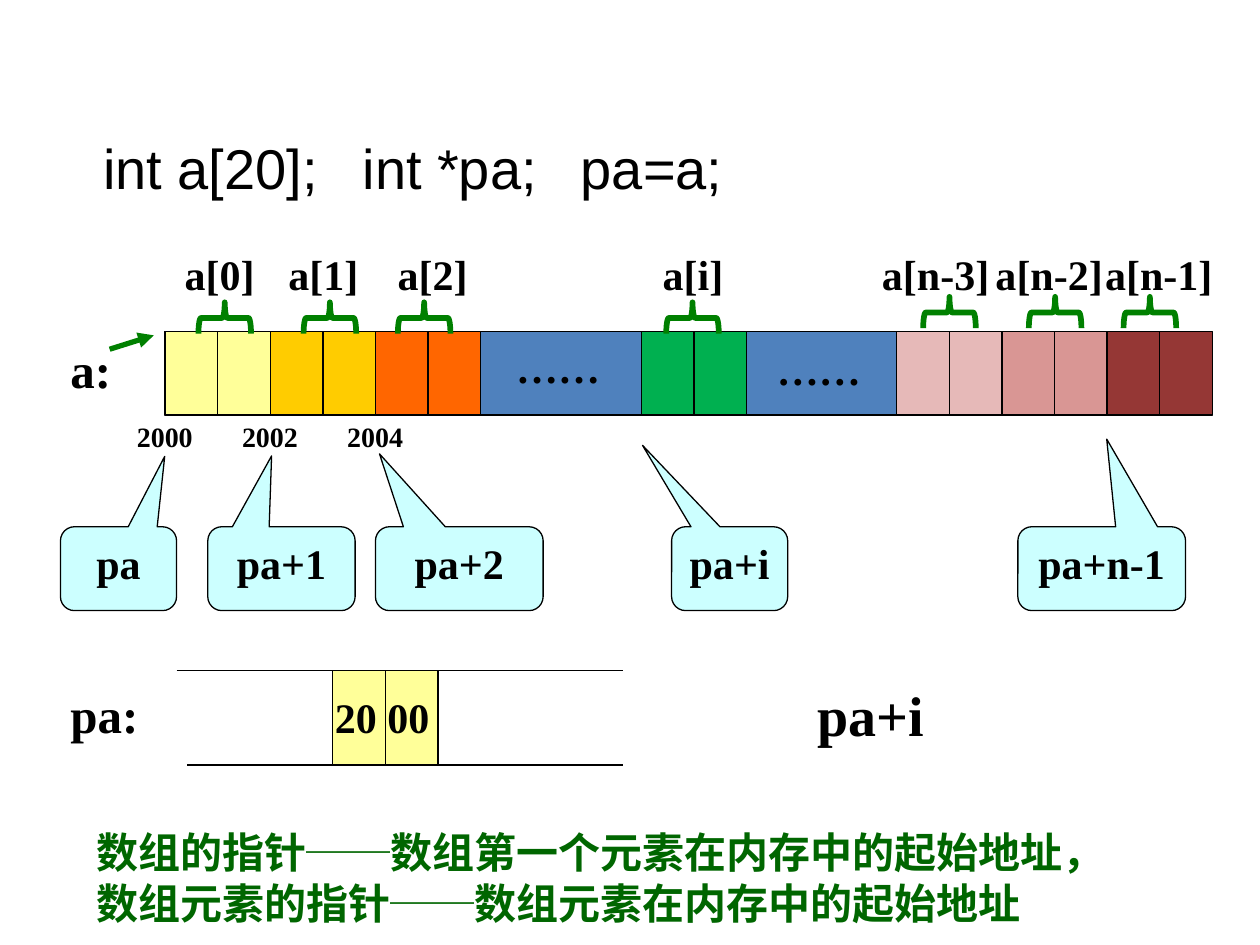
from dataclasses import dataclass

import pptx
import pptx.dml.color
import pptx.enum.shapes
import pptx.enum.text
import pptx.oxml
import pptx.oxml.ns
import pptx.util
from pptx.util import Cm

SHAPE = pptx.enum.shapes.MSO_SHAPE
ALIGN = pptx.enum.text.PP_ALIGN
SERIF = "Times New Roman"
BLACK, GREEN = "000000", "008000"
CELL_WIDTH = 1.06
ARRAY_LEFT, ARRAY_TOP, ARRAY_HEIGHT = 3.33, 6.68, 1.69
LABEL_SLACK = 0.1  # keeps each label on one line


@dataclass
class Element:
    """One array element of two cells; all lengths are in centimetres."""
    name: str
    cell_left: float
    color: str
    label_centre: float
    label_width: float
    brace_centre: float
    brace_middle: float = 6.41


@dataclass
class Callout:
    text: str
    left: float
    width: float
    tip: tuple[float, float]


@dataclass
class Label:
    text: str
    left: float
    top: float
    width: float
    height: float
    size: int
    font: str = SERIF
    color: str = BLACK
    bold: bool = True
    align: ALIGN = ALIGN.LEFT
    wrap: bool = False


ELEMENTS = [
    Element("a[0]", ARRAY_LEFT, "FFFF99", 4.43, 1.91, 4.53),
    Element("a[1]", ARRAY_LEFT + 2 * CELL_WIDTH, "FFCC00", 6.52, 1.91, 6.65),
    Element("a[2]", ARRAY_LEFT + 4 * CELL_WIDTH, "FF6600", 8.72, 1.91, 8.55),
    Element("a[i]", 12.93, "00B050", 13.97, 1.73, 13.96),
    Element("a[n-3]", 18.08, "E6B9B8", 18.86, 2.67, 19.14, 6.3),
    Element("a[n-2]", 18.08 + 2 * CELL_WIDTH, "D99694", 21.15, 2.67, 21.27, 6.3),
    Element("a[n-1]", 18.08 + 4 * CELL_WIDTH, "953735", 23.36, 2.67, 23.18, 6.3),
]
CALLOUTS = [
    Callout("pa", 1.22, 2.34, (0.398, -1.34)),
    Callout("pa+1", 4.19, 2.97, (-0.067, -1.346)),
    Callout("pa+2", 7.57, 3.38, (-0.476, -1.37)),
    Callout("pa+i", 13.54, 2.34, (-0.751, -1.472)),
    Callout("pa+n-1", 20.52, 3.38, (0.03, -1.546)),
]
DECLARATIONS = [("int a[20];", 1.83, 4.9), ("int *pa;", 7.06, 4.01), ("pa=a;", 11.46, 3.68)]
SUMMARY = ("数组的指针──数组第一个元素在内存中的起始地址，\n"
           "数组元素的指针──数组元素在内存中的起始地址")
LABELS = [
    *(Label(code, left, 2.57, width, 1.63, 32, font="Arial", bold=False)
      for code, left, width in DECLARATIONS),
    *(Label(e.name, e.label_centre - e.label_width / 2, 4.88, e.label_width, 1.27, 24,
            align=ALIGN.CENTER) for e in ELEMENTS),
    *(Label(str(2000 + 2 * i), 2.51 + 2 * CELL_WIDTH * i, 8.33, 1.63, 0.94, 16)
      for i in range(3)),
    Label("……", 10.16, 6.76, 2.18, 1.27, 24, align=ALIGN.CENTER),
    Label("……", 15.42, 6.81, 2.18, 1.27, 24, align=ALIGN.CENTER),
    Label("a:", 1.17, 6.71, 1.32, 1.45, 28),
    Label("pa:", 1.17, 13.67, 1.88, 1.45, 28),
    Label("20 00", 6.5, 13.82, 2.41, 1.27, 24),
    Label("pa+i", 16.23, 13.59, 2.64, 1.63, 32),
    Label(SUMMARY, 1.7, 16.54, 22.81, 2.29, 24, color="006600", wrap=True),
]


def rgb(color: str) -> pptx.dml.color.RGBColor:
    return pptx.dml.color.RGBColor.from_string(color)


def style_text(frame, text: str, size: int, font: str, color: str, bold: bool, align) -> None:
    frame.text = text
    frame.vertical_anchor = pptx.enum.text.MSO_ANCHOR.TOP
    for paragraph in frame.paragraphs:
        paragraph.alignment = align
        paragraph.font.size = pptx.util.Pt(size)
        paragraph.font.name = font
        paragraph.font.bold = bold
        paragraph.font.color.rgb = rgb(color)


def draw_shape(slide, kind, left: float, top: float, width: float, height: float,
               fill: str | None, line: str = BLACK, weight: float = 0.75):
    shape = slide.shapes.add_shape(kind, Cm(left), Cm(top), Cm(width), Cm(height))
    shape.shadow.inherit = False
    if fill:
        shape.fill.solid()
        shape.fill.fore_color.rgb = rgb(fill)
    else:
        shape.fill.background()
    shape.line.color.rgb = rgb(line)
    shape.line.width = pptx.util.Pt(weight)
    return shape


def draw_cells(slide, left: float, top: float, height: float, color: str) -> None:
    """Draw the two adjoining byte cells of one value."""
    for i in range(2):
        draw_shape(slide, SHAPE.RECTANGLE, left + i * CELL_WIDTH, top, CELL_WIDTH, height, color)


def draw_brace(slide, centre: float, middle: float) -> None:
    depth = 0.63
    brace = draw_shape(slide, SHAPE.LEFT_BRACE, centre - depth / 2, middle - CELL_WIDTH / 2,
                       depth, CELL_WIDTH, None, GREEN, 3.25)
    brace.rotation = 90


def draw_callout(slide, callout: Callout) -> None:
    bubble = draw_shape(slide, SHAPE.ROUNDED_RECTANGULAR_CALLOUT, callout.left, 10.62,
                        callout.width, 1.69, "CCFFFF")
    bubble.adjustments[0], bubble.adjustments[1] = callout.tip
    style_text(bubble.text_frame, callout.text, 24, SERIF, BLACK, True, ALIGN.CENTER)


def draw_label(slide, label: Label) -> None:
    left = label.left - (LABEL_SLACK / 2 if label.align == ALIGN.CENTER else 0)
    box = slide.shapes.add_textbox(Cm(left), Cm(label.top),
                                   Cm(label.width + LABEL_SLACK), Cm(label.height))
    box.text_frame.word_wrap = label.wrap
    box.text_frame.auto_size = pptx.enum.text.MSO_AUTO_SIZE.SHAPE_TO_FIT_TEXT
    style_text(box.text_frame, label.text, label.size, label.font, label.color,
               label.bold, label.align)


def draw_line(slide, start: tuple[float, float], end: tuple[float, float],
              color: str = BLACK, weight: float = 0.75, arrow: bool = False) -> None:
    line = slide.shapes.add_connector(pptx.enum.shapes.MSO_CONNECTOR.STRAIGHT,
                                      Cm(start[0]), Cm(start[1]), Cm(end[0]), Cm(end[1]))
    line.line.color.rgb = rgb(color)
    line.line.width = pptx.util.Pt(weight)
    namespace = pptx.oxml.ns.nsdecls("a")
    if arrow:
        line.line._get_or_add_ln().append(
            pptx.oxml.parse_xml(f'<a:tailEnd {namespace} type="triangle"/>'))
    line._element.spPr.append(pptx.oxml.parse_xml(f"<a:effectLst {namespace}/>"))


def main() -> None:
    deck = pptx.Presentation()
    deck.slide_width, deck.slide_height = Cm(25.4), Cm(19.05)
    slide = deck.slides.add_slide(deck.slide_layouts[6])

    for callout in CALLOUTS:
        draw_callout(slide, callout)

    draw_shape(slide, SHAPE.RECTANGLE, ARRAY_LEFT, ARRAY_TOP, 20.96, ARRAY_HEIGHT, "4F81BD")
    for element in ELEMENTS:
        draw_cells(slide, element.cell_left, ARRAY_TOP, ARRAY_HEIGHT, element.color)
        draw_brace(slide, element.brace_centre, element.brace_middle)
    draw_line(slide, (2.21, 7.04), (3.1, 6.76), GREEN, 3, arrow=True)

    pointer_top, pointer_height = 13.52, 1.9
    draw_cells(slide, 6.71, pointer_top, pointer_height, "FFFF99")
    draw_line(slide, (3.56, pointer_top), (12.55, pointer_top))
    draw_line(slide, (12.55, pointer_top + pointer_height), (3.77, pointer_top + pointer_height))

    for label in LABELS:
        draw_label(slide, label)
    deck.save("out.pptx")


if __name__ == "__main__":
    main()
